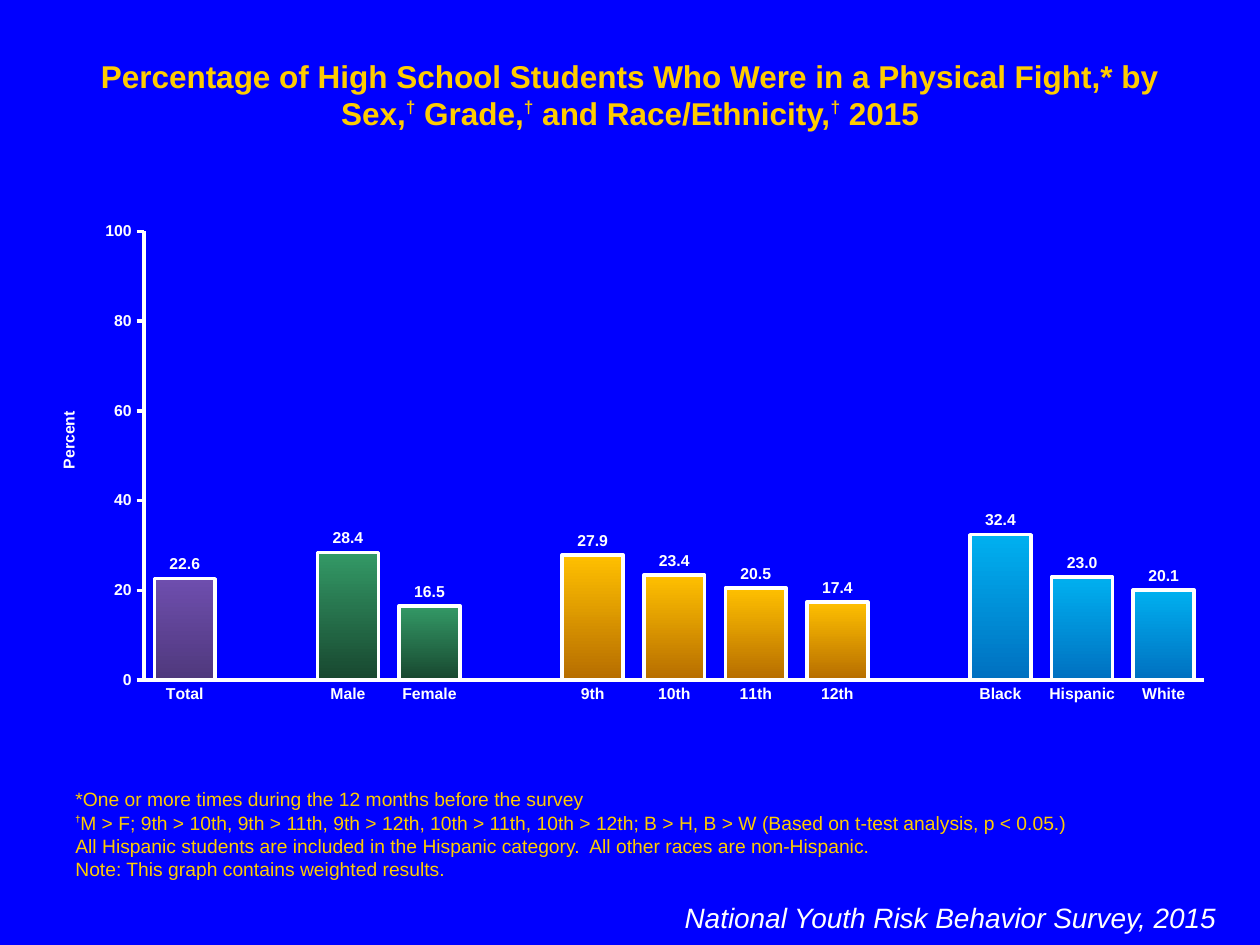
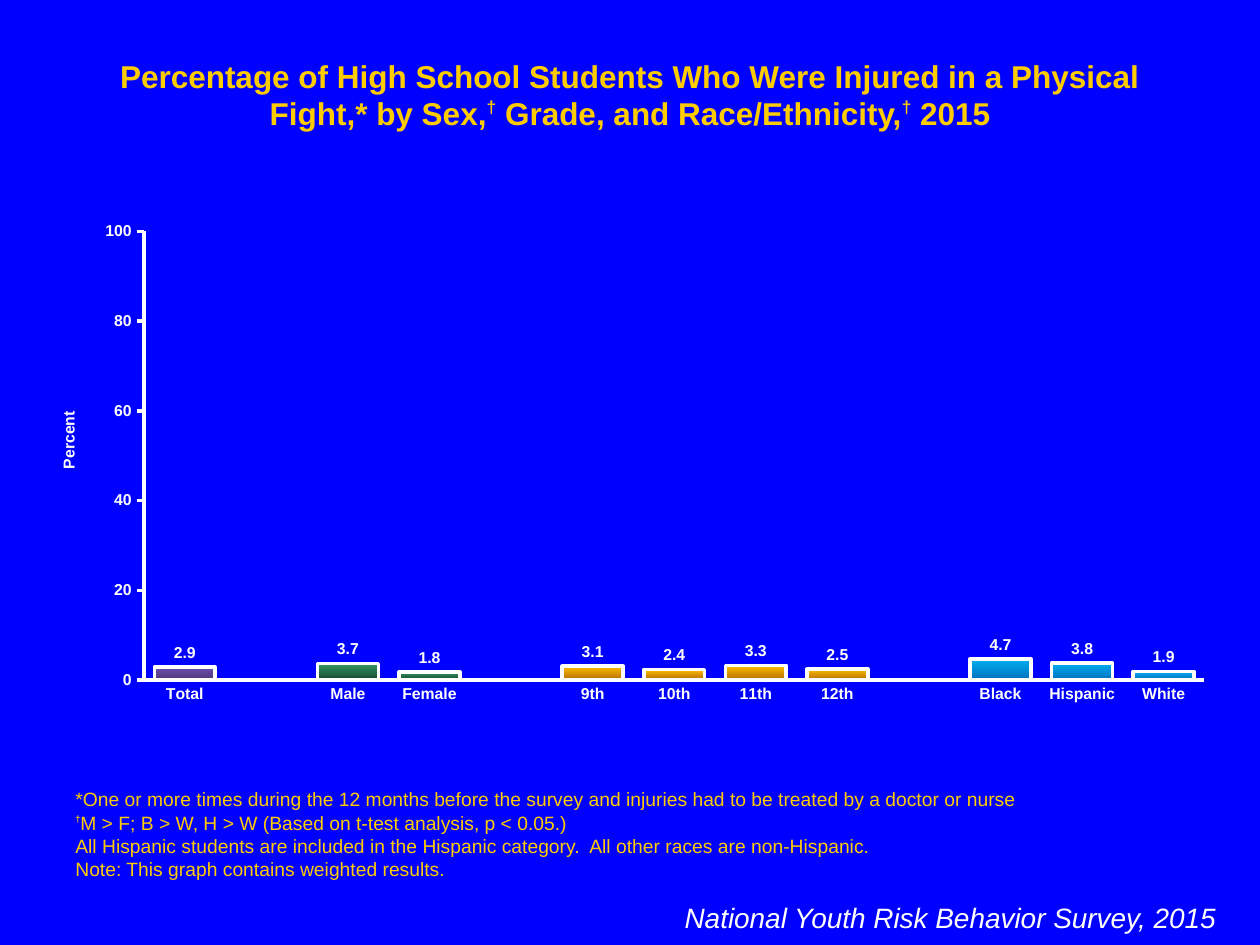
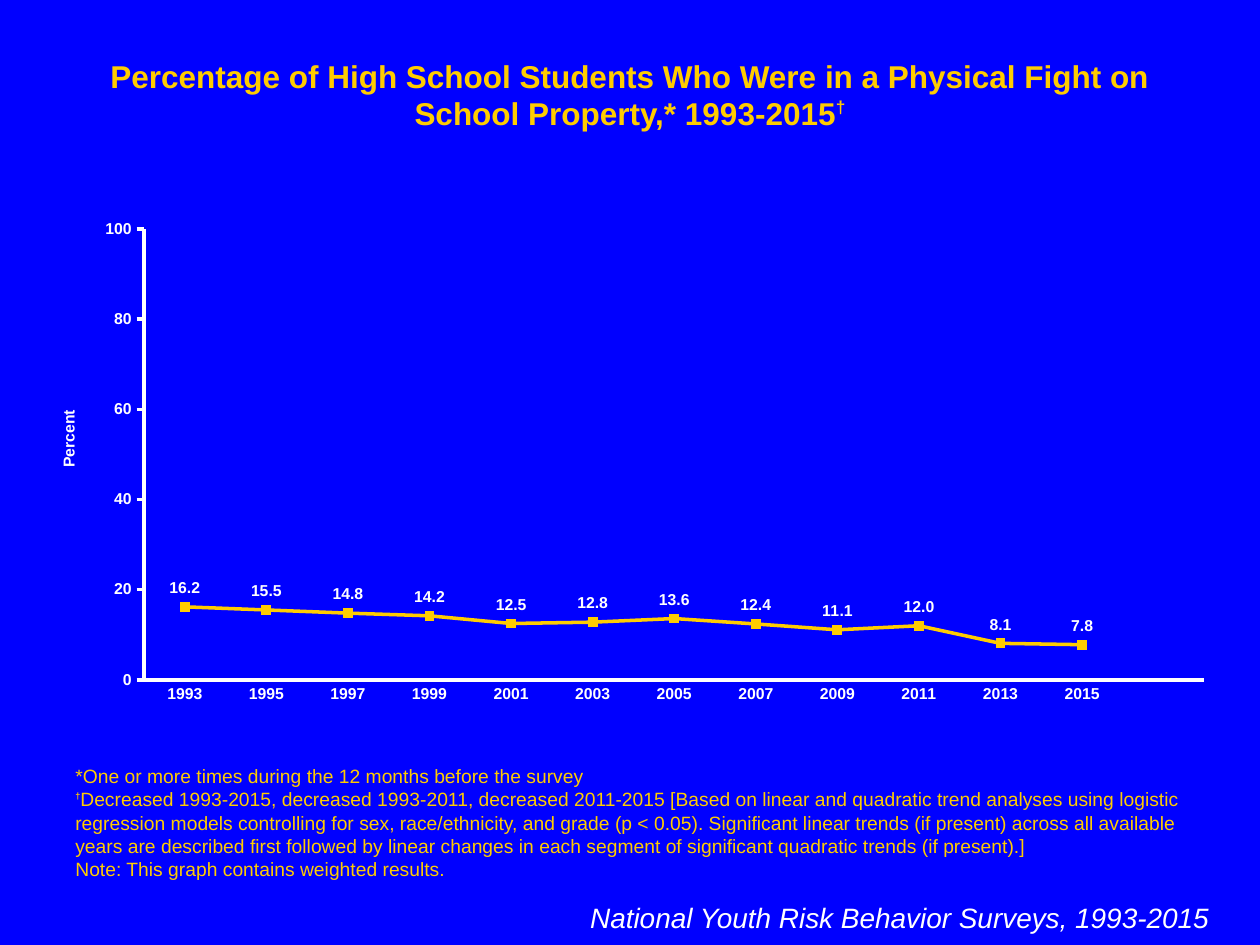
from lxml import etree
from pptx import Presentation
from pptx.chart.data import CategoryChartData
from pptx.dml.color import RGBColor
from pptx.enum.chart import XL_CHART_TYPE as ChartType
from pptx.enum.chart import XL_LABEL_POSITION as LabelPosition
from pptx.enum.chart import XL_MARKER_STYLE as MarkerStyle
from pptx.enum.chart import XL_TICK_MARK as TickMark
from pptx.enum.text import MSO_ANCHOR as Anchor
from pptx.enum.text import MSO_AUTO_SIZE as AutoSize
from pptx.enum.text import PP_ALIGN as Align
from pptx.oxml.ns import qn
from pptx.util import Pt

BLUE = RGBColor(0x00, 0x00, 0xFF)
GOLD = RGBColor(0xFF, 0xCC, 0x00)
WHITE = RGBColor(0xFF, 0xFF, 0xFF)
BAR_GREEN = RGBColor(0x26, 0xCA, 0x59)
PURPLES = RGBColor(0x6E, 0x4E, 0xAE), RGBColor(0x4F, 0x38, 0x7C)
GREENS = RGBColor(0x33, 0x99, 0x66), RGBColor(0x18, 0x47, 0x2F)
AMBERS = RGBColor(0xFF, 0xC0, 0x00), RGBColor(0xB6, 0x6D, 0x00)
SKIES = RGBColor(0x00, 0xB0, 0xF0), RGBColor(0x00, 0x70, 0xC0)

DAGGER = "†"
TITLE = dict(name="Arial", size=Pt(18), bold=True)
TITLE_DAGGER = dict(TITLE, size=Pt(17)), 40
NOTE = dict(name="Arial", size=Pt(11))
NOTE_DAGGER = dict(NOTE, size=Pt(9), bold=True), 50
SOURCE = dict(name="Arial", size=Pt(16), italic=True)
CHART_TEXT = dict(name="Arial", size=Pt(18))
CHART_LABEL = dict(name="Arial", size=Pt(9), bold=True)

NOTES_BOTTOM = 506.5
BAR_CHART_AT = 18, 121.7, 684, 286.5
LINE_CHART_AT = 18, 120.2, 684, 288
BAR_SOURCE_AT = 306, 511.2, 396, 46
LINE_SOURCE_AT = 326, 511.2, 372, 26.6

GROUPS = [
    (PURPLES, ["Total"]),
    (GREENS, ["Male", "Female"]),
    (AMBERS, ["9th", "10th", "11th", "12th"]),
    (SKIES, ["Black", "Hispanic", "White"]),
]
YEARS = [str(year) for year in range(1993, 2016, 2)]

SURVEY = "National Youth Risk Behavior Survey, 2015"
TWELVE_MONTHS = "*One or more times during the 12 months before the survey"
HISPANIC = ("All Hispanic students are included in the Hispanic category.  "
            "All other races are non-Hispanic.")
WEIGHTED = "Note: This graph contains weighted results."

BAR_SLIDES = [
    dict(
        title="Percentage of High School Students Who Were in a Physical Fight,* "
              "by Sex,† Grade,† and Race/Ethnicity,† 2015",
        notes=[TWELVE_MONTHS,
               "†M > F; 9th > 10th, 9th > 11th, 9th > 12th, 10th > 11th, 10th > 12th; "
               "B > H, B > W (Based on t-test analysis, p < 0.05.)",
               HISPANIC, WEIGHTED],
        notes_height=21,
        percents=[[22.6], [28.4, 16.5], [27.9, 23.4, 20.5, 17.4], [32.4, 23.0, 20.1]],
    ),
    dict(
        title="Percentage of High School Students Who Were Injured in a Physical "
              "Fight,* by Sex,† Grade, and Race/Ethnicity,† 2015",
        notes=[TWELVE_MONTHS + " and injuries had to be treated by a doctor or nurse",
               "†M > F; B > W, H > W (Based on t-test analysis, p < 0.05.)",
               HISPANIC, WEIGHTED],
        notes_height=60.5,
        percents=[[2.9], [3.7, 1.8], [3.1, 2.4, 3.3, 2.5], [4.7, 3.8, 1.9]],
    ),
]
TREND_SLIDE = dict(
    title="Percentage of High School Students Who Were in a Physical Fight on "
          "School Property,* 1993-2015†",
    notes=[TWELVE_MONTHS,
           "†Decreased 1993-2015, decreased 1993-2011, decreased 2011-2015 [Based on "
           "linear and quadratic trend analyses using logistic regression models "
           "controlling for sex, race/ethnicity, and grade (p < 0.05). Significant "
           "linear trends (if present) across all available years are described first "
           "followed by linear changes in each segment of significant quadratic trends "
           "(if present).]",
           WEIGHTED],
    notes_height=21,
    percents=[16.2, 15.5, 14.8, 14.2, 12.5, 12.8, 13.6, 12.4, 11.1, 12.0, 8.1, 7.8],
)


def set_font(font, style, colour):
    for attribute, value in style.items():
        setattr(font, attribute, value)
    font.color.rgb = colour


def add_run(paragraph, text, style, colour, raised=0):
    run = paragraph.add_run()
    run.text = text
    set_font(run.font, style, colour)
    if raised:
        run._r.get_or_add_rPr().set("baseline", str(raised * 1000))


def add_text(slide, at, lines, style, colour, dagger=None, align=Align.LEFT,
             anchor=Anchor.TOP):
    """Add a text box, one paragraph a line, with each dagger raised."""
    frame = slide.shapes.add_textbox(*map(Pt, at)).text_frame
    frame.word_wrap = True
    frame.auto_size = AutoSize.SHAPE_TO_FIT_TEXT
    frame.vertical_anchor = anchor
    for number, line in enumerate(lines):
        paragraph = frame.add_paragraph() if number else frame.paragraphs[0]
        paragraph.alignment = align
        for position, words in enumerate(line.split(DAGGER)):
            if position:
                add_run(paragraph, DAGGER, dagger[0], colour, dagger[1])
            if words:
                add_run(paragraph, words, style, colour)


def place(element, index, **fractions):
    """Give a chart part a manual layout, in fractions of the chart."""
    for automatic in element.findall(qn("c:layout")):
        element.remove(automatic)
    layout = etree.Element(qn("c:layout"))
    manual = etree.SubElement(layout, qn("c:manualLayout"))
    settings = dict(xMode="edge", yMode="edge", **fractions)
    if "w" in fractions:
        settings = dict(layoutTarget="inner", **settings)
    for tag, value in settings.items():
        etree.SubElement(manual, qn(f"c:{tag}")).set("val", str(value))
    element.insert(index, layout)


def set_line(line, colour):
    line.color.rgb = colour
    line.width = Pt(2)


def add_percent_chart(slide, kind, at, categories, percents, label_position):
    chart_data = CategoryChartData()
    chart_data.categories = categories
    chart_data.add_series("Series 1", percents)
    chart = slide.shapes.add_chart(kind, *map(Pt, at), chart_data).chart
    chart.has_legend = chart.has_title = False
    set_font(chart.font, CHART_TEXT, WHITE)

    for axis, ticks in ((chart.category_axis, TickMark.NONE),
                        (chart.value_axis, TickMark.OUTSIDE)):
        axis.has_major_gridlines = False
        axis.major_tick_mark = ticks
        axis.minor_tick_mark = TickMark.NONE
        set_font(axis.tick_labels.font, CHART_LABEL, WHITE)
        set_line(axis.format.line, WHITE)

    scale = chart.value_axis
    scale.minimum_scale, scale.maximum_scale, scale.major_unit = 0, 100, 20
    scale.tick_labels.number_format = "#,##0"
    scale.tick_labels.number_format_is_linked = False
    percent_frame = scale.axis_title.text_frame
    add_run(percent_frame.paragraphs[0], "Percent", CHART_LABEL, WHITE)
    percent_frame._txBody.bodyPr.set("rot", "-5400000")
    percent_frame._txBody.bodyPr.set("vert", "horz")
    place(scale.axis_title._element, 1, x=0.02, y=0.39)
    place(chart._chartSpace.chart.plotArea, 0, x=0.094, y=0.037, w=0.886, h=0.895)

    plot = chart.plots[0]
    plot.vary_by_categories = False
    plot.has_data_labels = True
    labels = plot.data_labels
    for attribute, value in dict(show_value=True, number_format="#,##0.0",
                                 number_format_is_linked=False,
                                 position=label_position).items():
        setattr(labels, attribute, value)
    set_font(labels.font, CHART_LABEL, WHITE)
    return plot


def add_group_bars(slide, percents):
    categories, values, gradients = [], [], []
    for (gradient, names), group_values in zip(GROUPS, percents):
        if categories:
            categories.append("")
            values.append(None)
            gradients.append(None)
        categories += names
        values += group_values
        gradients += [gradient] * len(names)
    plot = add_percent_chart(slide, ChartType.COLUMN_CLUSTERED, BAR_CHART_AT,
                             categories, values, LabelPosition.OUTSIDE_END)
    plot.gap_width, plot.overlap = 34, 100
    bars = plot.series[0]
    bars.format.fill.solid()
    bars.format.fill.fore_color.rgb = BAR_GREEN
    set_line(bars.format.line, WHITE)
    for number, gradient in enumerate(gradients):
        if gradient:
            bar = bars.points[number].format
            bar.fill.gradient()
            bar.fill.gradient_angle = 270
            for stop, colour in zip(bar.fill.gradient_stops, gradient):
                stop.color.rgb = colour
            set_line(bar.line, WHITE)


def add_trend_line(slide, percents):
    plot = add_percent_chart(slide, ChartType.LINE_MARKERS, LINE_CHART_AT,
                             YEARS + [""], percents + [None], LabelPosition.ABOVE)
    trend = plot.series[0]
    trend.smooth = False
    set_line(trend.format.line, GOLD)
    trend.marker.style = MarkerStyle.SQUARE
    trend.marker.size = 5
    trend.marker.format.fill.solid()
    trend.marker.format.fill.fore_color.rgb = GOLD
    trend.marker.format.line.color.rgb = GOLD


def add_survey_slide(deck, content, source, source_at):
    slide = deck.slides.add_slide(deck.slide_layouts[6])
    slide.background.fill.solid()
    slide.background.fill.fore_color.rgb = BLUE
    add_text(slide, (36, 28.8, 648, 28.8), [content["title"]], TITLE, GOLD,
             TITLE_DAGGER, Align.CENTER)
    height = content["notes_height"]
    add_text(slide, (36, NOTES_BOTTOM - height, 648, height), content["notes"],
             NOTE, GOLD, NOTE_DAGGER, anchor=Anchor.BOTTOM)
    add_text(slide, source_at, [source], SOURCE, WHITE, align=Align.RIGHT)
    return slide


def main():
    deck = Presentation()
    deck.slide_width, deck.slide_height = Pt(720), Pt(540)
    for content in BAR_SLIDES:
        slide = add_survey_slide(deck, content, SURVEY, BAR_SOURCE_AT)
        add_group_bars(slide, content["percents"])
    slide = add_survey_slide(deck, TREND_SLIDE,
                             "National Youth Risk Behavior Surveys, 1993-2015",
                             LINE_SOURCE_AT)
    add_trend_line(slide, TREND_SLIDE["percents"])
    deck.save("out.pptx")


if __name__ == "__main__":
    main()
